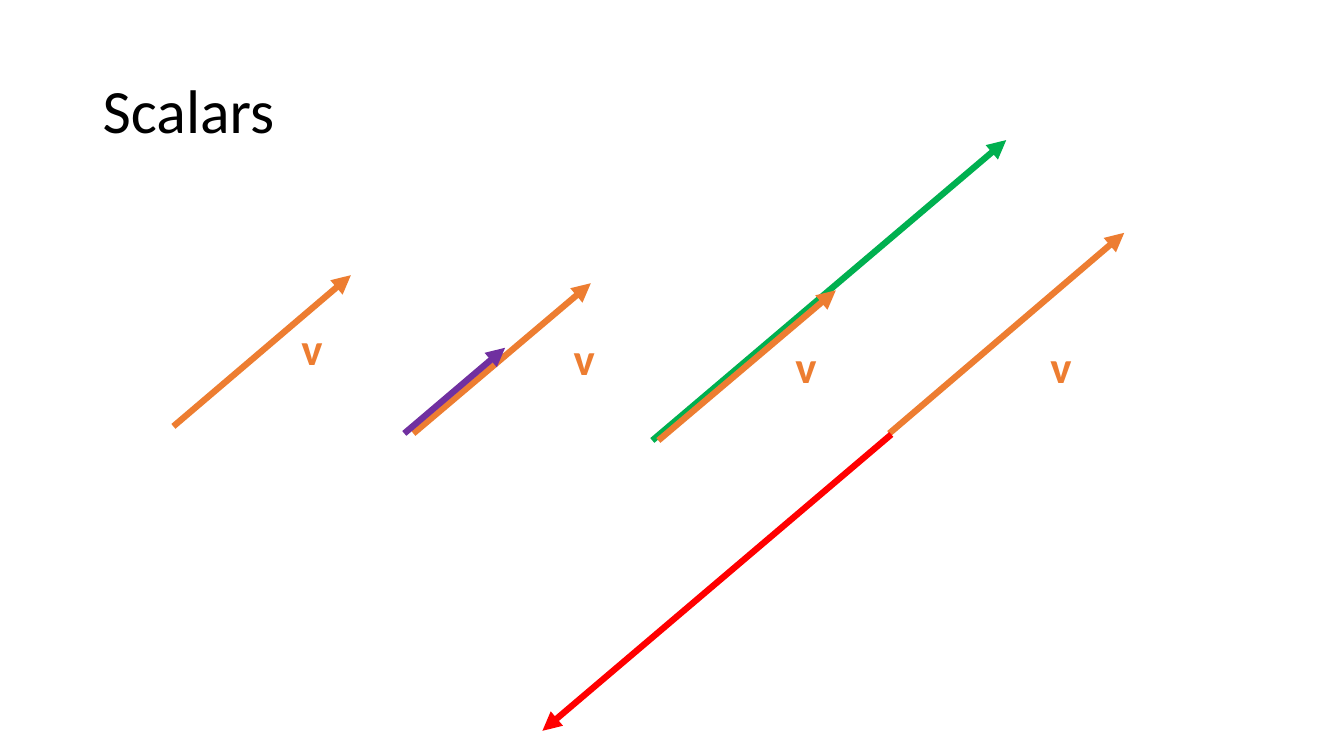
from lxml import etree
from pptx import Presentation
from pptx.dml.color import RGBColor
from pptx.enum.shapes import MSO_CONNECTOR
from pptx.enum.text import MSO_ANCHOR, MSO_AUTO_SIZE
from pptx.oxml.ns import qn
from pptx.util import Pt

STRAIGHT = MSO_CONNECTOR.STRAIGHT
MIDDLE, TOP = MSO_ANCHOR.MIDDLE, MSO_ANCHOR.TOP
FIT_SHAPE = MSO_AUTO_SIZE.SHAPE_TO_FIT_TEXT

EMU_PER_PX = 9144  # 100 px to the inch
FONT = "Calibri"
COLORS = {
    "title": "000000",
    "v": "ED7D31",
    "half": "7030A0",
    "double": "00B050",
    "negative": "FF0000",
}
LABEL_SIZE = (41, 64)

# Each panel: box spanned by v, label offset, and the scaled vector as
# (color, start offset from the tail of v, run, rise, drawn behind v)
PANELS = [
    ((172, 273, 176, 150), (117, 40), None),
    ((410, 281, 176, 149), (149, 42), ("half", (-9, 0), 100, 85, False)),
    ((653, 288, 176, 149), (126, 43), ("double", (-6, 0), 351, 298, True)),
    ((882, 231, 233, 199), (150, 100), ("negative", (2, 1), -346, -294, False)),
]


def px(length):
    return length * EMU_PER_PX


def add_text(slide, box, text, size, color, bold=False, anchor=TOP, wrap=False):
    holder = slide.shapes.add_textbox(*map(px, box))
    frame = holder.text_frame
    frame.word_wrap = wrap
    frame.vertical_anchor = anchor
    frame.text = text
    font = frame.paragraphs[0].runs[0].font
    font.name, font.size, font.bold = FONT, Pt(size), bold
    font.color.rgb = RGBColor.from_string(COLORS[color])
    return frame


def add_vector(slide, tail, run, rise, color):
    x, y = tail
    vector = slide.shapes.add_connector(
        STRAIGHT, px(x), px(y), px(x + run), px(y - rise))
    vector.line.color.rgb = RGBColor.from_string(COLORS[color])
    vector.line.width = Pt(4.5)
    outline = vector.line._get_or_add_ln()
    etree.SubElement(outline, qn("a:tailEnd"), type="triangle")
    etree.SubElement(vector._element.spPr, qn("a:effectLst"))


def add_title(slide, box):
    frame = add_text(slide, box, "Scalars", 44, "title", anchor=MIDDLE, wrap=True)
    frame.paragraphs[0].line_spacing = 0.9


def add_panel(slide, box, label_offset, scaled):
    left, top, width, height = box
    tail = (left, top + height)

    # Vectors, back to front
    vectors = [(tail, width, height, "v")]
    if scaled:
        color, (dx, dy), run, rise, behind = scaled
        start = (tail[0] + dx, tail[1] + dy)
        vectors.insert(0 if behind else 1, (start, run, rise, color))
    for vector in vectors:
        add_vector(slide, *vector)

    # Name of the vector
    label_box = (left + label_offset[0], top + label_offset[1], *LABEL_SIZE)
    label = add_text(slide, label_box, "v", 32, "v", bold=True)
    label.auto_size = FIT_SHAPE


def main():
    deck = Presentation()
    deck.slide_width, deck.slide_height = px(1333), px(750)
    slide = deck.slides.add_slide(deck.slide_layouts[6])
    add_title(slide, (92, 40, 1150, 145))
    for panel in PANELS:
        add_panel(slide, *panel)
    deck.save("out.pptx")


if __name__ == "__main__":
    main()
